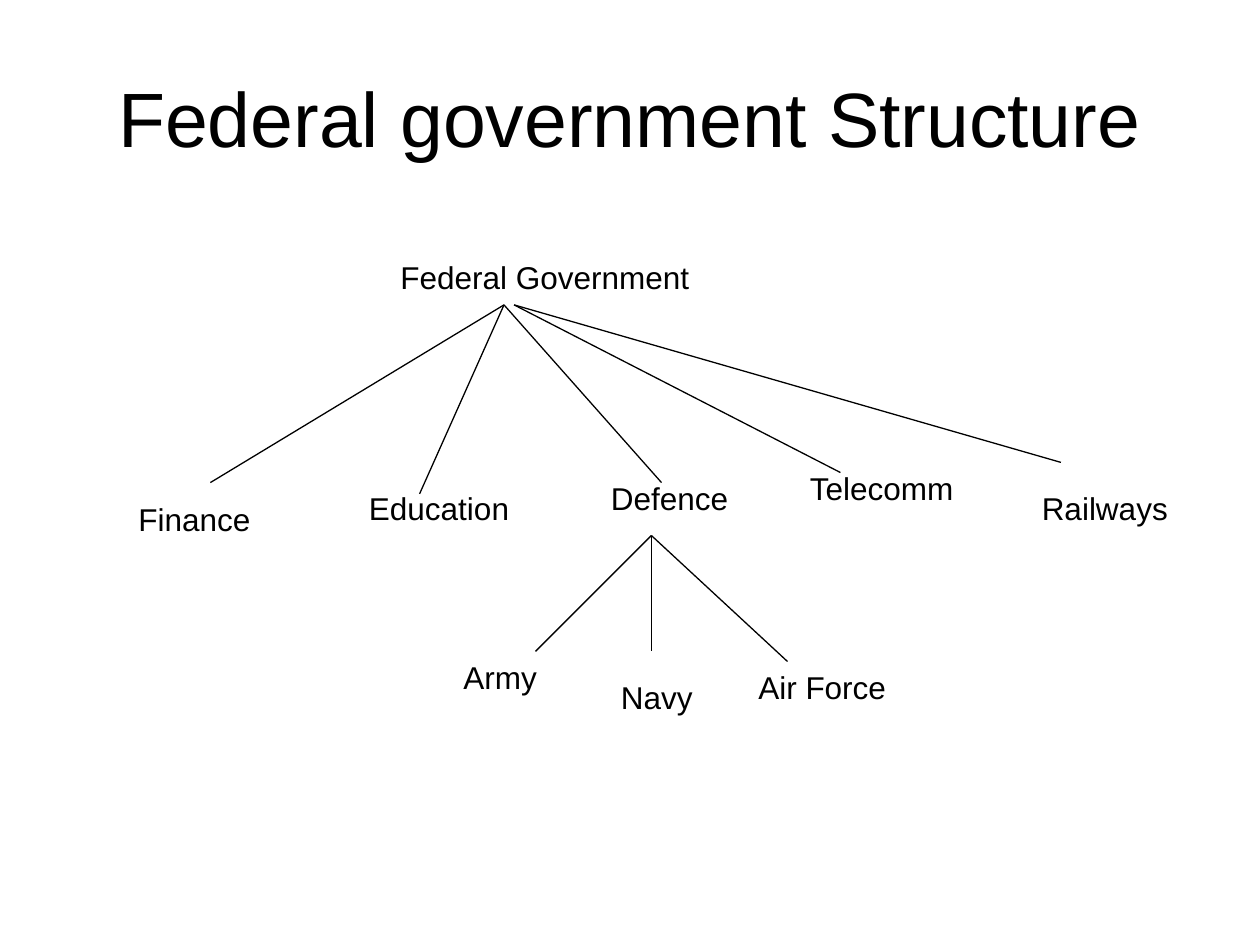
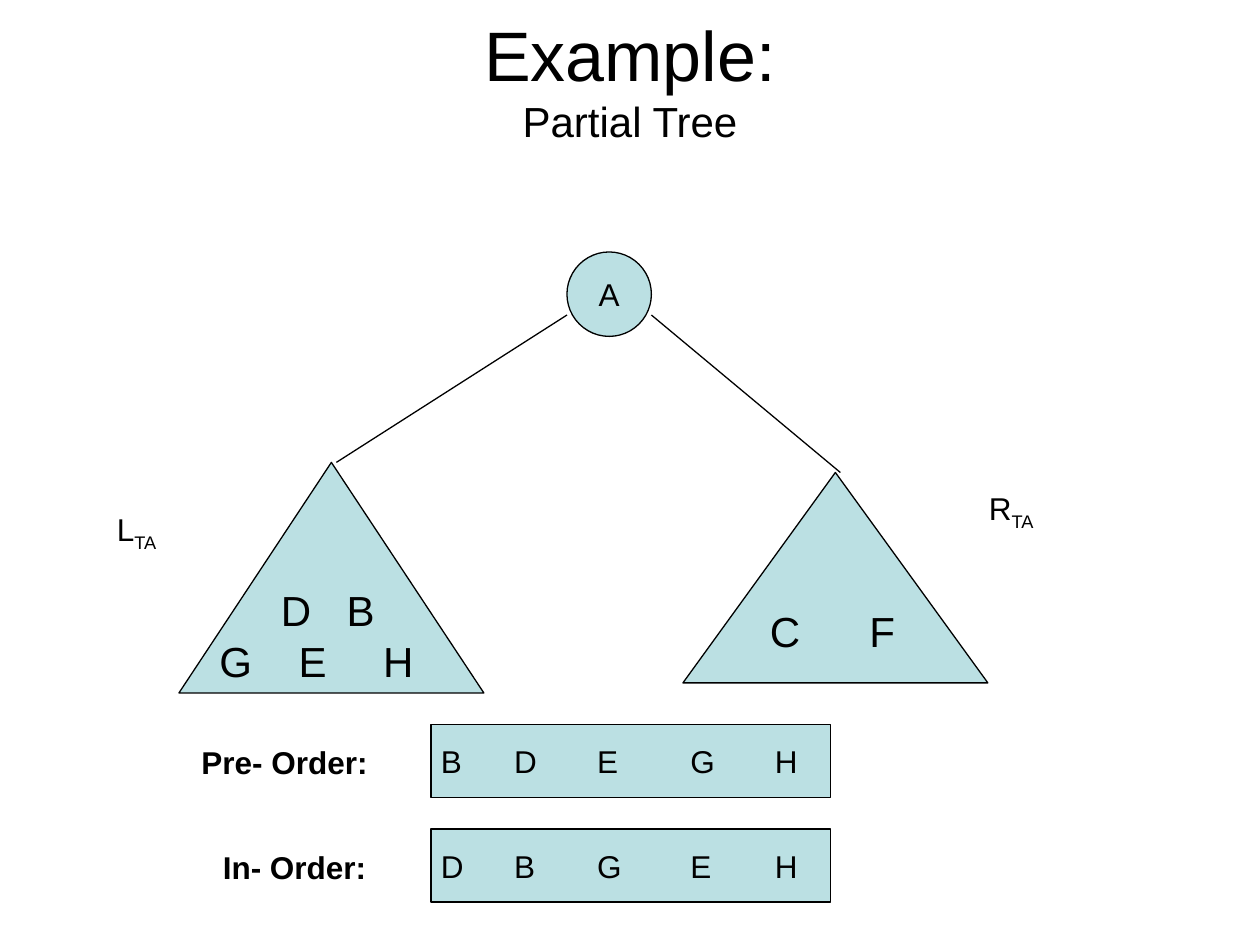
from lxml import etree
from pptx import Presentation
from pptx.dml.color import RGBColor
from pptx.enum.shapes import MSO_CONNECTOR, MSO_SHAPE
from pptx.enum.text import MSO_ANCHOR, PP_ALIGN
from pptx.oxml.ns import qn
from pptx.util import Inches, Pt

STRAIGHT = MSO_CONNECTOR.STRAIGHT
OVAL, TRIANGLE, RECTANGLE = MSO_SHAPE.OVAL, MSO_SHAPE.ISOSCELES_TRIANGLE, MSO_SHAPE.RECTANGLE
MIDDLE = MSO_ANCHOR.MIDDLE
LEFT, CENTER = PP_ALIGN.LEFT, PP_ALIGN.CENTER

COLORS = {"ink": "000000", "node": "BBE0E3"}
FONT = "Arial"
BODY_SIZE, LETTER_SIZE = 18, 24
LINE_WIDTH = 0.75
LABEL_HEIGHT = 0.4

# Government tree: text, left, top, width
OFFICES = [
    ("Federal Government", 3.08, 2, 2.5),
    ("Finance", 1, 3.92, 1.25),
    ("Education", 2.83, 3.83, 1.42),
    ("Defence", 4.75, 3.75, 1.42),
    ("Telecomm", 6.33, 3.67, 1.92),
    ("Railways", 8.17, 3.83, 1.5),
    ("Army", 3.58, 5.17, 1.58),
    ("Navy", 4.83, 5.33, 1),
    ("Air Force", 5.92, 5.25, 1.58),
]
# Each fork: start point, end points
OFFICE_FORKS = [
    ((4, 2.42), [(1.67, 3.83), (3.33, 3.92), (5.25, 3.83)]),
    ((4.08, 2.42), [(6.67, 3.75), (8.42, 3.67)]),
    ((5.17, 4.25), [(4.25, 5.17), (5.17, 5.17), (6.25, 5.25)]),
]

# Partial tree
ROOT = ("A", (4.5, 2, 0.67, 0.67))
ROOT_FORKS = [((4.5, 2.5), [(2.67, 3.67)]), ((5.17, 2.5), [(6.67, 3.75)])]
# Each subtree: box, rows of (letters, offsets from the left edge)
SUBTREES = [
    ((1.42, 3.67, 2.42, 1.83), [("DB", (0.81, 1.33)), ("GEH", (0.32, 0.95, 1.62))]),
    ((5.42, 3.75, 2.42, 1.67), [("CF", (0.69, 1.48))]),
]
SUBTREE_NAMES = [("R", "TA", 7.75, 3.83), ("L", "TA", 0.83, 4)]
# Each traversal: label, label left, letters
TRAVERSALS = [("Pre- Order:", 1.5, "BDEGH"), ("In- Order:", 1.67, "DBGEH")]
TRAVERSAL_STOPS = (0.08, 0.66, 1.32, 2.06, 2.73)
TRAVERSAL_TOP, TRAVERSAL_STEP = 5.75, 0.83


def format_run(run, size, bold=False):
    run.font.name = FONT
    run.font.size = Pt(size)
    run.font.bold = bold
    run.font.color.rgb = RGBColor.from_string(COLORS["ink"])


def write(shape, text, size=BODY_SIZE, bold=False, align=LEFT, anchor=None):
    frame = shape.text_frame
    frame.word_wrap = True
    frame.text = text
    if anchor is not None:
        frame.vertical_anchor = anchor
    for paragraph in frame.paragraphs:
        paragraph.alignment = align
        for run in paragraph.runs:
            format_run(run, size, bold)
    return frame


def write_letters(shape, rows, size):
    """Write rows of letters, each letter at its own tab stop."""
    text = "\n".join("".join("\t" + letter for letter in letters) for letters, _ in rows)
    frame = write(shape, text, size, anchor=MIDDLE)
    frame.margin_left = frame.margin_right = 0
    for paragraph, (_, stops) in zip(frame.paragraphs, rows):
        tabs = etree.SubElement(paragraph._p.get_or_add_pPr(), qn("a:tabLst"))
        for stop in stops:
            etree.SubElement(tabs, qn("a:tab"), pos=str(Inches(stop)), algn="l")


def add_text_box(slide, box):
    return slide.shapes.add_textbox(*map(Inches, box))


def add_label(slide, text, left, top, width, bold=False):
    return write(add_text_box(slide, (left, top, width, LABEL_HEIGHT)), text, bold=bold)


def add_title(slide, text, top, size):
    return write(add_text_box(slide, (0.5, top, 9, 1.25)), text, size,
                 align=CENTER, anchor=MIDDLE)


def add_node(slide, kind, box):
    shape = slide.shapes.add_shape(kind, *map(Inches, box))
    shape.shadow.inherit = False
    shape.fill.solid()
    shape.fill.fore_color.rgb = RGBColor.from_string(COLORS["node"])
    shape.line.color.rgb = RGBColor.from_string(COLORS["ink"])
    shape.line.width = Pt(LINE_WIDTH)
    return shape


def add_forks(slide, forks):
    for start, ends in forks:
        for end in ends:
            line = slide.shapes.add_connector(STRAIGHT, *map(Inches, start + end))
            line.line.color.rgb = RGBColor.from_string(COLORS["ink"])
            line.line.width = Pt(LINE_WIDTH)
            etree.SubElement(line._element.spPr, qn("a:effectLst"))


def build_government(slide):
    add_title(slide, "Federal government Structure", 0.3, 44)
    add_forks(slide, OFFICE_FORKS)
    for office in OFFICES:
        add_label(slide, *office)


def build_partial_tree(slide):
    title = add_title(slide, "Example:\vPartial Tree", 0, 40)
    title.paragraphs[0].runs[-1].font.size = Pt(24)

    name, box = ROOT
    write(add_node(slide, OVAL, box), name, align=CENTER, anchor=MIDDLE)
    for box, rows in SUBTREES:
        add_node(slide, TRIANGLE, box)
        left, top, width, height = box
        lower_half = (left, top + height / 2, width, height / 2)
        write_letters(add_text_box(slide, lower_half), rows, LETTER_SIZE)
    add_forks(slide, ROOT_FORKS)

    for index, (label, label_left, letters) in enumerate(TRAVERSALS):
        top = TRAVERSAL_TOP + index * TRAVERSAL_STEP
        node = add_node(slide, RECTANGLE, (3.42, top, 3.17, 0.58))
        write_letters(node, [(letters, TRAVERSAL_STOPS)], BODY_SIZE)
        add_label(slide, label, label_left, top + 0.1, 1.58, bold=True)

    for side, subscript, left, top in SUBTREE_NAMES:
        frame = add_label(slide, side, left, top, 1)
        run = frame.paragraphs[0].add_run()
        run.text = subscript
        format_run(run, BODY_SIZE)
        run._r.get_or_add_rPr().set("baseline", "-25000")


def main():
    presentation = Presentation()
    presentation.slide_width, presentation.slide_height = Inches(10), Inches(7.5)
    blank = presentation.slide_layouts[6]
    for build in (build_government, build_partial_tree):
        build(presentation.slides.add_slide(blank))
    presentation.save("out.pptx")


if __name__ == "__main__":
    main()
